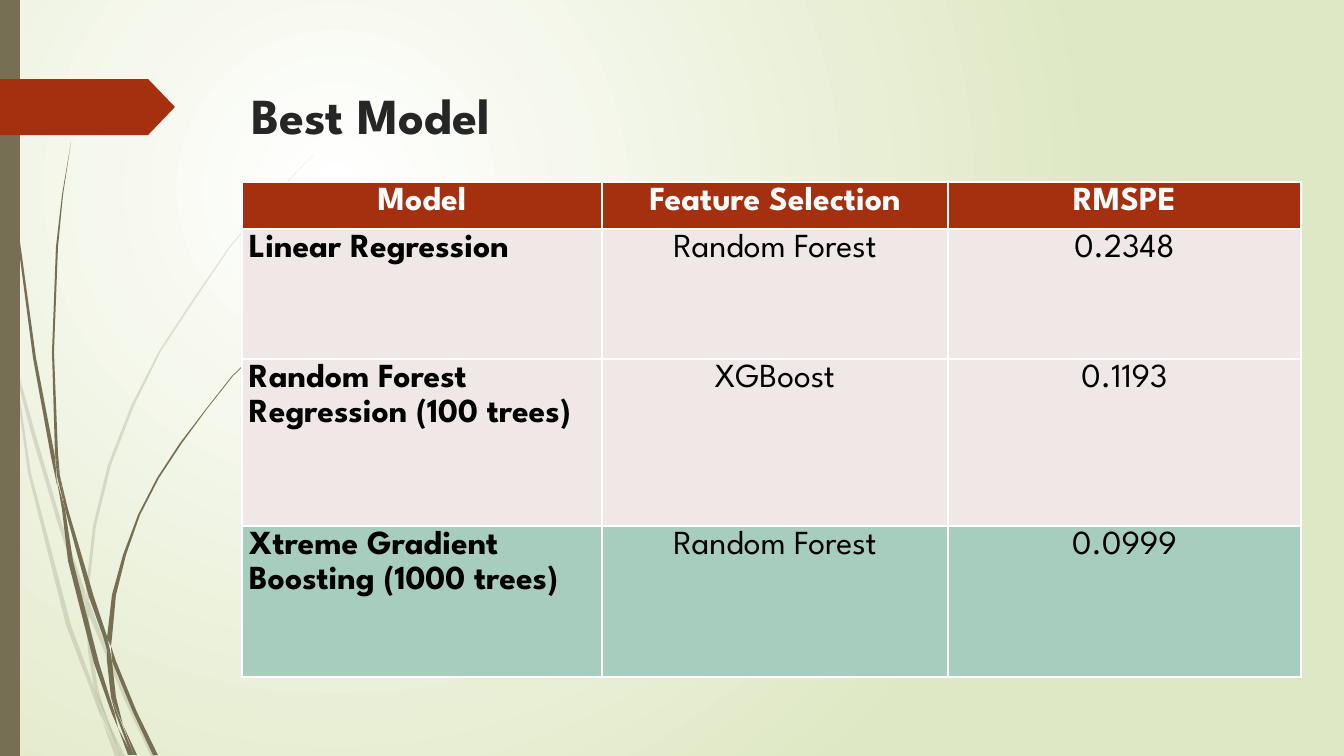
from lxml import etree
from pptx import Presentation
from pptx.dml.color import RGBColor
from pptx.enum.shapes import MSO_SHAPE as SHAPE
from pptx.enum.text import MSO_ANCHOR as ANCHOR, PP_ALIGN as ALIGN
from pptx.oxml.ns import qn
from pptx.util import Pt

PX = 9072
FONT = "League Spartan"
COLORS = {
    "white": "FFFFFF", "sage": "DFE8C4", "olive": "766F54", "rust": "A53010",
    "title": "262626", "black": "000000", "blush": "F0E8E7", "mint": "A6CDBD",
}
PALE_BLADES = [
    [(284, 0, 0), (301, 0, 4), (325, 6, 9), (353, 11, 11)],
    [(348, 14, 14), (379, 17, 20), (436, 32, 36), (524, 58, 62), (591, 80, 85),
     (604, 85, 85)],
    [(601, 89, 89), (615, 89, 94), (699, 124, 128), (756, 151, 156)],
    [(717, 106, 106), (756, 120, 125)],
    [(353, 11, 11), (379, 15, 17), (473, 28, 31), (625, 66, 71), (688, 90, 94),
     (720, 102, 102)],
    [(604, 85, 85), (615, 86, 89), (651, 88, 92), (688, 94, 98), (717, 106, 106)],
    [(154, 314, 314), (199, 270, 271), (246, 230, 231), (298, 194, 196),
     (351, 159, 161), (406, 131, 134), (465, 108, 111), (526, 93, 96),
     (589, 86, 89), (601, 89, 89)],
    [(720, 102, 102), (756, 115, 120)],
    [(591, 86, 86), (604, 85, 89), (615, 89, 89)],
    [(688, 94, 94), (713, 100, 106), (756, 120, 120)],
]
DARK_BLADES = [
    [(0, 3, 4), (48, 4, 5), (110, 7, 8), (235, 17, 19), (358, 33, 36),
     (457, 51, 55), (485, 57, 57)],
    [(476, 60, 60), (509, 65, 68), (597, 89, 94), (636, 103, 107), (650, 107, 107)],
    [(646, 111, 111), (661, 112, 116), (712, 133, 137), (755, 153, 158)],
    [(481, 57, 57), (509, 62, 65), (561, 68, 73), (663, 94, 99), (714, 112, 115),
     (728, 118, 118)],
    [(142, 71, 71), (195, 62, 63), (247, 56, 58), (352, 52, 54), (453, 55, 58),
     (476, 60, 60)],
    [(725, 123, 123), (755, 134, 137)],
    [(453, 55, 55), (476, 57, 60), (509, 65, 65)],
    [(347, 262, 263), (376, 232, 233), (409, 206, 207), (443, 180, 182),
     (478, 157, 159), (515, 138, 140), (555, 123, 126), (595, 112, 116),
     (638, 107, 112), (646, 111, 111)],
    [(728, 118, 118), (755, 128, 132)],
    [(650, 107, 107), (661, 107, 112), (697, 111, 116), (725, 123, 123)],
    [(636, 107, 107), (650, 107, 110), (661, 112, 112)],
    [(697, 111, 111), (712, 115, 117), (755, 131, 134)],
]
COLUMNS = [360, 346, 353]
ROWS = [
    (47, "rust", ["Model", "Feature Selection", "RMSPE"]),
    (130, "blush", ["Linear Regression", "Random Forest", "0.2348"]),
    (167, "blush", ["Random Forest Regression (100 trees)", "XGBoost", "0.1193"]),
    (151, "mint", ["Xtreme Gradient Boosting (1000 trees)", "Random Forest", "0.0999"]),
]


def px(*lengths):
    return [length * PX for length in lengths]


def rgb(name):
    return RGBColor.from_string(COLORS[name])


def paint(sp, color):
    sp.shadow.inherit = False
    sp.fill.solid()
    sp.fill.fore_color.rgb = rgb(color)
    sp.line.fill.background()


def style_run(r, size, color, bold):
    r.font.name = FONT
    r.font.size = Pt(size)
    r.font.bold = bold
    r.font.color.rgb = rgb(color)


def add_background(s):
    fill = s.background.fill
    fill.gradient()
    for stop, color, position in zip(fill.gradient_stops, ("white", "sage"), (0, 1)):
        stop.color.rgb = rgb(color)
        stop.position = position
    lin = next(s.background._cSld.iter(qn("a:lin")))
    path = etree.Element(qn("a:path"), path="circle")
    etree.SubElement(path, qn("a:fillToRect"), l="50000", t="50000", r="100000", b="100000")
    lin.getparent().replace(lin, path)


def add_blade(s, left, top, rows, alpha=None):
    outline = [(x, y) for y, x, _ in rows] + [(x, y) for y, _, x in reversed(rows)]
    points = list(dict.fromkeys(tuple(px(left + x, top + y)) for x, y in outline))
    builder = s.shapes.build_freeform(*points[0])
    builder.add_line_segments(points[1:], close=True)
    sp = builder.convert_to_shape()
    paint(sp, "olive")
    if alpha:
        color = next(sp._element.spPr.iter(qn("a:srgbClr")))
        etree.SubElement(color, qn("a:alpha"), val=str(alpha * 1000))


def add_side_decoration(s, left, top, height):
    for rows in PALE_BLADES:
        add_blade(s, left, top, rows, alpha=20)
    for rows in DARK_BLADES:
        add_blade(s, left, top, rows)
    paint(s.shapes.add_shape(SHAPE.RECTANGLE, *px(left, top, 20, height)), "olive")
    tag = s.shapes.add_shape(SHAPE.PENTAGON, *px(left, top + 79, 175, 56))
    tag.adjustments[0] = 0.48
    paint(tag, "rust")


def add_title(s, left, top, width, height):
    sp = s.shapes.title
    sp.left, sp.top, sp.width, sp.height = px(left, top, width, height)
    tf = sp.text_frame
    tf.text = "Best Model"
    tf.vertical_anchor = ANCHOR.TOP
    tf.margin_top = 11 * PX
    p = tf.paragraphs[0]
    p.alignment = ALIGN.LEFT
    style_run(p.runs[0], 36, "title", True)


def fill_cell(cell, text, fill, header, first):
    cell.margin_left = cell.margin_right = 7 * PX
    cell.margin_top = cell.margin_bottom = 0
    cell.fill.solid()
    cell.fill.fore_color.rgb = rgb(fill)
    cell.text_frame.text = text
    p = cell.text_frame.paragraphs[0]
    p.alignment = ALIGN.LEFT if first and not header else ALIGN.CENTER
    p.line_spacing = 1.15
    p.space_after = Pt(10)
    style_run(p.runs[0], 24, "white" if header else "black", header or first)


def add_model_table(s, left, top):
    width, height = sum(COLUMNS), sum(row[0] for row in ROWS)
    table = s.shapes.add_table(len(ROWS), len(COLUMNS), *px(left, top, width, height)).table
    for column, column_width in zip(table.columns, px(*COLUMNS)):
        column.width = column_width
    for i, (row_height, fill, texts) in enumerate(ROWS):
        table.rows[i].height = row_height * PX
        for j, text in enumerate(texts):
            fill_cell(table.cell(i, j), text, fill, header=i == 0, first=j == 0)


def main():
    prs = Presentation()
    prs.slide_width, prs.slide_height = px(1344, 756)
    s = prs.slides.add_slide(prs.slide_layouts[5])
    add_background(s)
    add_side_decoration(s, 0, 0, 756)
    add_title(s, 241, 73, 1058, 94)
    add_model_table(s, 242, 182)
    prs.save("out.pptx")


if __name__ == "__main__":
    main()
